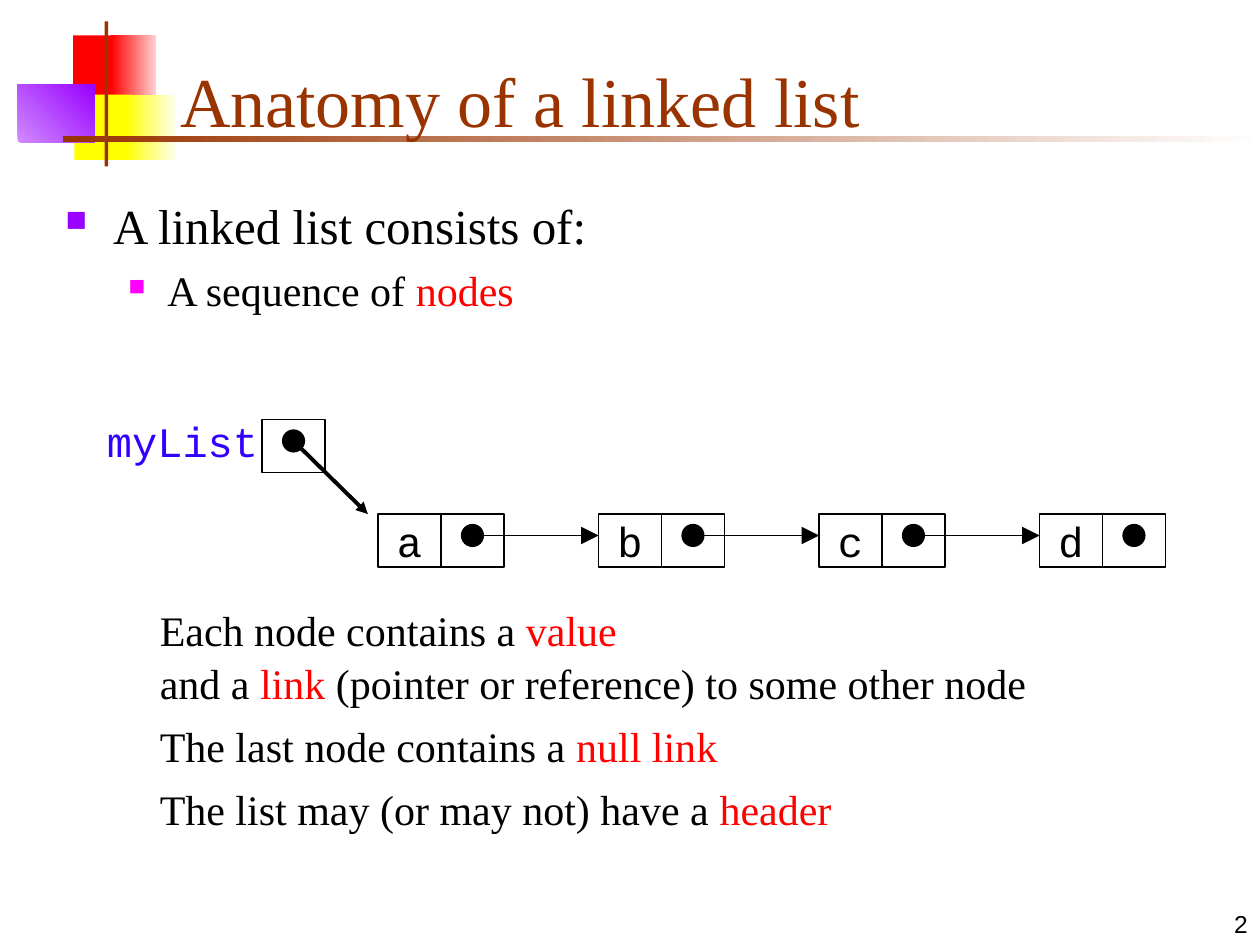
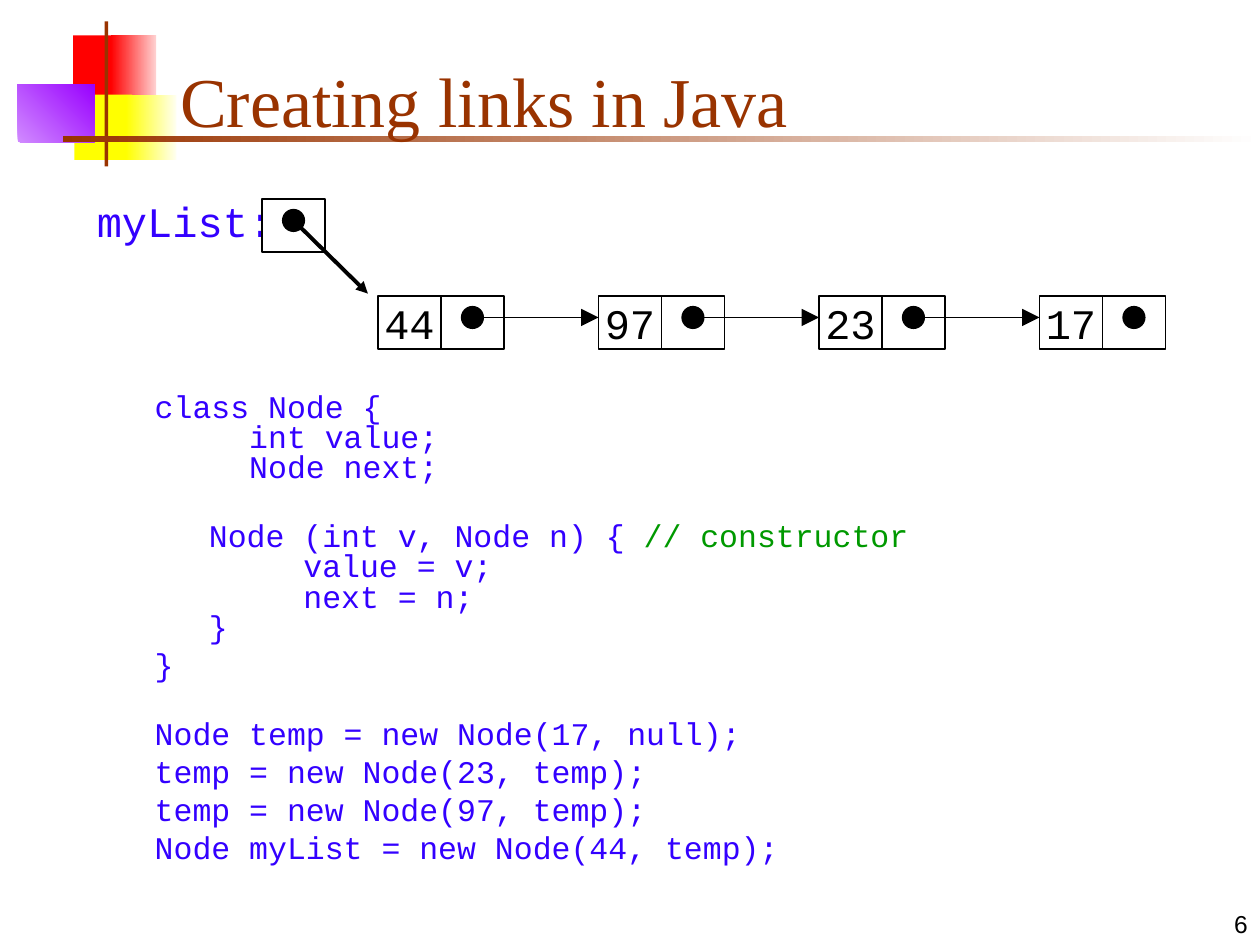
import pptx
import pptx.dml.color
import pptx.enum.shapes
import pptx.enum.text
import pptx.oxml
import pptx.oxml.ns
import pptx.util
from pptx.util import Inches

BLACK, BROWN, RED, BLUE = "000000", "993300", "FF0000", "3300FF"
GREEN, PURPLE, PINK = "009900", "9900FF", "FF00FF"
SERIF, MONO, SANS = "Times New Roman", "Courier New", "Arial"

# Left, top, width, height, colours from start to end, gradient angle
BANDS = [
    (0.58, 0.28, 0.35, 0.52, [RED], 0),
    (0.88, 0.28, 0.36, 0.52, [RED, "FFD1D1"], 0),
    (0.59, 0.75, 0.46, 0.52, ["FFFF00"], 0),
    (1, 0.75, 0.4, 0.52, ["FFFF00", "FFFFF0"], 0),
    (0.14, 0.67, 0.61, 0.46, ["D18BFF", PURPLE], 45),
    (0.83, 0.17, 0.03, 1.15, [BROWN], 0),
    (0.5, 1.08, 9.5, 0.05, [BROWN, "FFFFFF"], 0),
]

# Text between bars takes the accent colour
# Text, size, left margin, hanging indent, space before, bullet colour and size
POINTS = [
    ("A linked list consists of:", 28, 0.38, 0.38, 0, PURPLE, 60),
    ("A sequence of |nodes|", 24, 0.81, 0.31, 6, PINK, 55),
]
NOTES = [
    (4.75, "Each node contains a |value|"),
    (5.17, "and a |link| (pointer or reference) to some other node"),
    (5.67, "The last node contains a |null link|"),
    (6.17, "The list may (or may not) have a |header|"),
]
# Text, left margin, space before
CODE = [
    ("class Node {\n     int value;\n     Node next;", 0.38, 0),
    ("Node (int v, Node n) { |// constructor|\n"
     "     value = v;\n     next = n;\n}", 0.81, 21.9),
    ("}", 0.38, 4.5),
    ("Node temp = new Node(17, null);", 0.38, 21.9),
    ("temp = new Node(23, temp);", 0.38, 4.5),
    ("temp = new Node(97, temp);", 0.38, 4.5),
    ("Node myList = new Node(44, temp);", 0.38, 4.5),
]
# Label, its left and width, top of header box, top of node row, values
LISTS = [
    ("myList", 0.75, 1.42, 3.33, 4.08, ["a", "b", "c", "d"]),
    ("myList:", 0.67, 1.83, 1.58, 2.35, ["44", "97", "23", "17"]),
]
CELL, TALL, STEP, DOT = 0.5, 0.42, 1.75, 0.17

SHAPE = pptx.enum.shapes.MSO_SHAPE
ALIGN = pptx.enum.text.PP_ALIGN
ANCHOR = pptx.enum.text.MSO_ANCHOR


def paint(target, color):
    target.rgb = pptx.dml.color.RGBColor.from_string(color)


def add_xml(parent, tag, **attrs):
    node = pptx.oxml.parse_xml(f"<{tag} {pptx.oxml.ns.nsdecls('a')}/>")
    for key, value in attrs.items():
        node.set(key, str(value))
    parent.append(node)
    return node


def style(para, size, font, color):
    para.font.size = pptx.util.Pt(size)
    para.font.name = font
    paint(para.font.color, color)


def write(para, text, size, font, color=BLACK, accent=RED):
    """Fill a paragraph; text between bars takes the accent colour."""
    style(para, size, font, color)
    for i, part in enumerate(text.split("|")):
        for j, line in enumerate(part.split("\n")):
            if j:
                para.add_line_break()
            if line:
                run = para.add_run()
                run.text = line
                if i % 2:
                    paint(run.font.color, accent)


def add_box(slide, left, top, width, height):
    box = slide.shapes.add_textbox(*map(Inches, (left, top, width, height)))
    box.text_frame.word_wrap = True
    return box.text_frame


def add_paras(frame, count):
    return [frame.paragraphs[0]] + [frame.add_paragraph() for _ in range(count - 1)]


def indent(para, margin, hang=0):
    props = para._p.get_or_add_pPr()
    props.set("marL", str(Inches(margin)))
    props.set("indent", str(-Inches(hang)))
    return props


def add_shape(slide, kind, left, top, width, height):
    shape = slide.shapes.add_shape(kind, *map(Inches, (left, top, width, height)))
    shape.shadow.inherit = False
    return shape


def add_bands(slide):
    """Draw the bands, then move them to the layout that all slides share."""
    tree = slide.slide_layout.shapes.element
    for number, (*place, colors, angle) in enumerate(BANDS, 20):
        band = add_shape(slide, SHAPE.RECTANGLE, *place)
        band.line.fill.background()
        if len(colors) == 1:
            band.fill.solid()
            paint(band.fill.fore_color, colors[0])
        else:
            band.fill.gradient()
            band.fill.gradient_angle = angle
            for stop, color in zip(band.fill.gradient_stops, colors):
                paint(stop.color, color)
        band.element.nvSpPr.cNvPr.set("id", str(number))
        tree.append(band.element)


def add_slide(deck, title, number):
    slide = deck.slides.add_slide(deck.slide_layouts[5])
    head = slide.shapes.title
    head.left, head.top, head.width, head.height = map(Inches, (1.33, 0.25, 8.52, 0.92))
    head.text_frame.text = title
    head.text_frame.vertical_anchor = ANCHOR.BOTTOM
    para = head.text_frame.paragraphs[0]
    para.alignment = ALIGN.LEFT
    style(para, 40, SERIF, BROWN)

    foot = add_box(slide, 7.92, 7, 2.08, 0.5)
    foot.vertical_anchor = ANCHOR.BOTTOM
    foot.paragraphs[0].alignment = ALIGN.RIGHT
    write(foot.paragraphs[0], str(number), 14, SANS)
    return slide


def add_cell(slide, left, top, text=""):
    cell = add_shape(slide, SHAPE.RECTANGLE, left, top, CELL, TALL)
    cell.fill.background()
    paint(cell.line.color, BLACK)
    cell.line.width = pptx.util.Pt(1)
    if text:
        frame = cell.text_frame
        frame.word_wrap = False
        frame.vertical_anchor = ANCHOR.MIDDLE
        frame.paragraphs[0].alignment = ALIGN.CENTER
        write(frame.paragraphs[0], text, 24, MONO)


def add_dot(slide, x, y):
    dot = add_shape(slide, SHAPE.OVAL, x - DOT / 2, y - DOT / 2, DOT, DOT)
    dot.fill.solid()
    paint(dot.fill.fore_color, BLACK)
    paint(dot.line.color, BLACK)
    dot.line.width = pptx.util.Pt(1)


def add_arrow(slide, start, end, width, tip):
    arrow = slide.shapes.add_connector(
        pptx.enum.shapes.MSO_CONNECTOR.STRAIGHT, *map(Inches, start + end))
    arrow.line.width = pptx.util.Pt(width)
    paint(arrow.line.color, BLACK)
    props = arrow.element.spPr
    add_xml(props.find(pptx.oxml.ns.qn("a:ln")), "a:tailEnd", type="triangle", w=tip, len=tip)
    add_xml(props, "a:effectLst")


def add_list(slide, label, left, width, head, row, values):
    """Draw a labelled header box that points to a row of linked nodes."""
    frame = add_box(slide, left, head - 0.08, width, 0.5)
    write(frame.paragraphs[0], label, 24, MONO, BLUE)
    add_cell(slide, 2.08, head)
    add_dot(slide, 2.33, head + DOT)
    add_arrow(slide, (2.33, head + DOT), (2.92, head + 0.75), 2.25, "med")

    y = row + DOT
    for i, value in enumerate(values):
        x = 3 + i * STEP
        add_cell(slide, x, row, value)
        add_cell(slide, x + CELL, row)
        add_dot(slide, x + 1.5 * CELL, y)
        if i < len(values) - 1:
            add_arrow(slide, (x + 1.5 * CELL, y), (x + STEP, y), 1, "lg")


def add_points(slide):
    frame = add_box(slide, 0.42, 1.5, 9.38, 1.62)
    paras = add_paras(frame, len(POINTS))
    for para, (text, size, margin, hang, before, color, scale) in zip(paras, POINTS):
        para.space_before = pptx.util.Pt(before)
        props = indent(para, margin, hang)
        add_xml(add_xml(props, "a:buClr"), "a:srgbClr", val=color)
        add_xml(props, "a:buSzPct", val=scale * 1000)
        add_xml(props, "a:buChar", char="■")
        write(para, text, size, SERIF)


def add_notes(slide):
    for top, text in NOTES:
        frame = add_box(slide, 1.17, top, 7.67, 0.5)
        write(frame.paragraphs[0], text, 24, SERIF)


def add_code(slide):
    frame = add_box(slide, 0.75, 3.08, 8.5, 4.25)
    for para, (text, margin, before) in zip(add_paras(frame, len(CODE)), CODE):
        para.line_spacing = 0.8
        para.space_before = pptx.util.Pt(before)
        indent(para, margin)
        write(para, text, 18, MONO, BLUE, GREEN)


def main():
    deck = pptx.Presentation()
    deck.slide_width, deck.slide_height = Inches(10), Inches(7.5)

    slide = add_slide(deck, "Anatomy of a linked list", 2)
    add_bands(slide)
    add_points(slide)
    add_list(slide, *LISTS[0])
    add_notes(slide)

    slide = add_slide(deck, "Creating links in Java", 6)
    add_code(slide)
    add_list(slide, *LISTS[1])

    deck.save("out.pptx")


if __name__ == "__main__":
    main()
